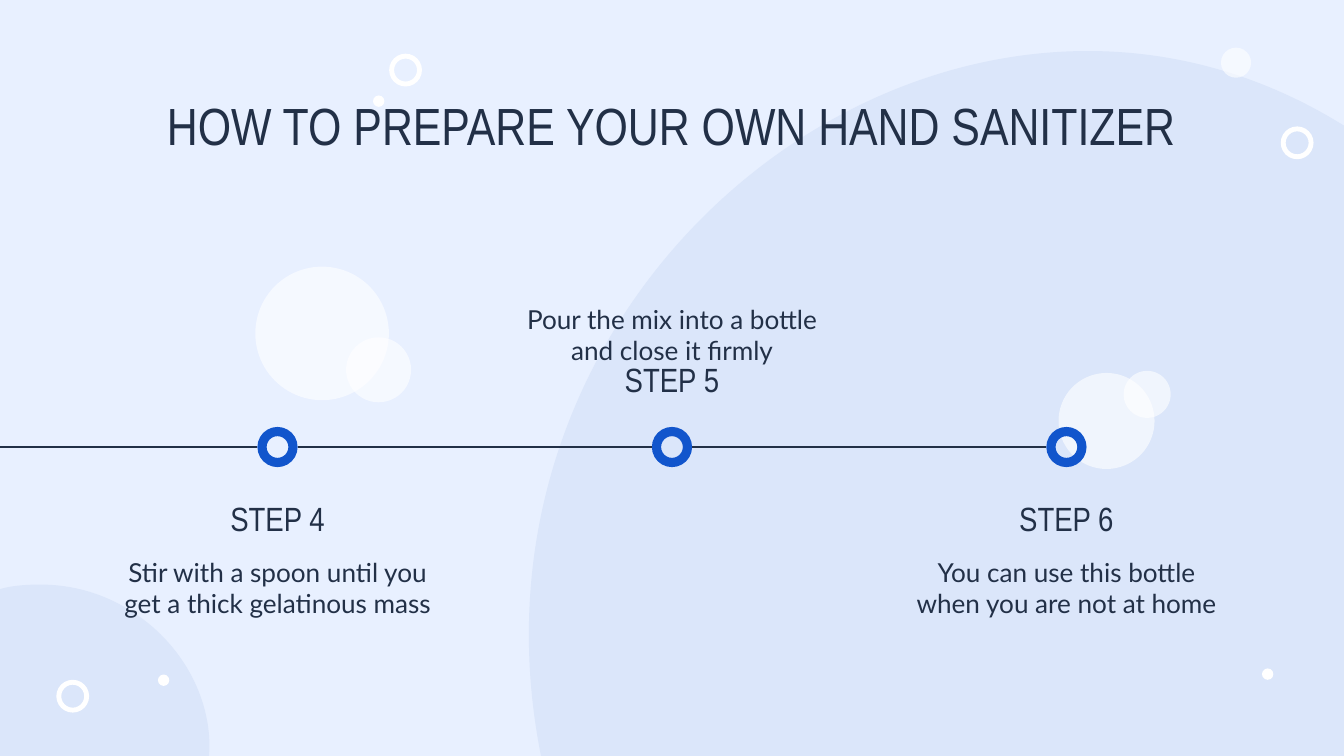
"""Build the hand sanitizer timeline slide."""
from dataclasses import dataclass

from lxml.etree import SubElement
from pptx import Presentation
from pptx.dml.color import RGBColor
from pptx.enum.shapes import MSO_CONNECTOR, MSO_SHAPE
from pptx.enum.text import MSO_ANCHOR, PP_ALIGN
from pptx.oxml.ns import qn
from pptx.shapes.autoshape import Shape
from pptx.slide import Slide
from pptx.util import Cm, Pt

Point = tuple[float, float]


@dataclass(frozen=True)
class Theme:
    """Colours, fonts and type sizes."""
    background: RGBColor = RGBColor(0xE8, 0xF0, 0xFF)
    hill: RGBColor = RGBColor(0xDB, 0xE6, 0xFA)
    bubble: RGBColor = RGBColor(0xFF, 0xFF, 0xFF)
    marker: RGBColor = RGBColor(0x11, 0x55, 0xCC)
    ink: RGBColor = RGBColor(0x22, 0x30, 0x47)
    heading_font: str = "Arial Narrow"
    body_font: str = "Lato"
    title_size: int = 56
    label_size: int = 36
    body_size: int = 28


@dataclass(frozen=True)
class Bubble:
    """A round decoration: left, top and diameter in centimetres."""
    left: float
    top: float
    diameter: float
    opacity: int = 100
    rim: float = 0


@dataclass(frozen=True)
class Area:
    """A text area in centimetres with its vertical anchor."""
    left: float
    top: float
    width: float
    height: float
    anchor: MSO_ANCHOR = MSO_ANCHOR.TOP


@dataclass(frozen=True)
class Step:
    """One step of the timeline."""
    label: str
    body: str
    above: bool = False


THEME = Theme()
WIDTH, HEIGHT = 50.8, 28.58
LEFT_HILL = [
    [(1.52, 22.1)],
    [(1.14, 22.1), (0.79, 22.12), (0.46, 22.17)],
    [(0.28, 22.2), (0.13, 22.23), (-0.03, 22.28)],
    [(-0.03, HEIGHT)],
    [(7.9, HEIGHT)],
    [(8.03, 27.03), (7.39, 25.12), (5.77, 23.7)],
    [(4.34, 22.48), (2.82, 22.1), (1.52, 22.1)],
]
RIGHT_HILL = [
    [(41.12, 1.93)],
    [(29.01, 1.93), (17.53, 13.94), (20.45, HEIGHT)],
    [(WIDTH, HEIGHT)],
    [(WIDTH, 4.75)],
    [(47.7, 2.82), (44.4, 1.93), (41.12, 1.93)],
]
DOT, RING, RING_RIM = 0.43, 1.24, 0.15
BUBBLES = [
    Bubble(46.15, 1.8, 1.14, 60),
    Bubble(9.65, 10.08, 5.05, 60),
    Bubble(13.08, 12.75, 2.46, 60),
    Bubble(40.01, 14.1, 3.63, 60),
    Bubble(42.47, 14.02, 1.78, 60),
    Bubble(5.97, 25.5, DOT),
    Bubble(47.7, 25.27, DOT),
    Bubble(2.13, 25.7, RING, rim=RING_RIM),
    Bubble(14.71, 2.03, RING, rim=RING_RIM),
    Bubble(14.1, 3.61, DOT),
    Bubble(48.41, 4.78, RING, rim=RING_RIM),
]
STEPS = [
    Step("STEP 4", "Stir with a spoon until you get a thick gelatinous mass"),
    Step("STEP 5", "Pour the mix into a bottle and close it firmly", above=True),
    Step("STEP 6", "You can use this bottle when you are not at home"),
]
FIRST_CENTRE, STEP_GAP = 10.49, 14.91
LINE_START, LINE_HEIGHT, MARKER, MARKER_RIM = -0.2, 16.9, 1.52, 0.23
STEP_WIDTH, INSET = 12.98, 0.51


def paint(shape: Shape, colour: RGBColor) -> None:
    """Give a shape a plain fill without line or shadow."""
    shape.shadow.inherit = False
    shape.fill.solid()
    shape.fill.fore_color.rgb = colour
    shape.line.fill.background()


def draw_hill(page: Slide, segments: list[list[Point]]) -> None:
    """Draw a closed outline, turning each three-point segment into a cubic curve."""
    corners = [(Cm(x), Cm(y)) for segment in segments for x, y in segment]
    builder = page.shapes.build_freeform(*corners[0])
    builder.add_line_segments(corners[1:])
    shape = builder.convert_to_shape()
    paint(shape, THEME.hill)
    lines = iter(list(shape.element.iter(qn("a:lnTo"))))
    for segment in segments[1:]:
        parts = [next(lines) for _ in segment]
        if len(parts) == 3:
            outline = parts[0].getparent()
            cubic = SubElement(outline, qn("a:cubicBezTo"))
            parts[0].addprevious(cubic)
            for part in parts:
                cubic.append(part[0])
                outline.remove(part)


def draw_bubble(page: Slide, bubble: Bubble, colour: RGBColor) -> None:
    """Draw a disc, or a ring when the bubble has a rim."""
    kind = MSO_SHAPE.DONUT if bubble.rim else MSO_SHAPE.OVAL
    size = Cm(bubble.diameter)
    shape = page.shapes.add_shape(kind, Cm(bubble.left), Cm(bubble.top), size, size)
    paint(shape, colour)
    if bubble.rim:
        shape.adjustments[0] = bubble.rim
    if bubble.opacity < 100:
        fill = shape.element.spPr.find(qn("a:solidFill"))
        SubElement(fill[0], qn("a:alpha"), val=str(bubble.opacity * 1000))


def draw_text(page: Slide, area: Area, text: str, font: str, size: int, space_after: int = 0) -> None:
    """Add one centred paragraph in a text box."""
    box = page.shapes.add_textbox(Cm(area.left), Cm(area.top), Cm(area.width), Cm(area.height))
    frame = box.text_frame
    frame.word_wrap = True
    frame.vertical_anchor = area.anchor
    frame.margin_left = frame.margin_right = frame.margin_top = frame.margin_bottom = Cm(INSET)
    para = frame.paragraphs[0]
    para.alignment = PP_ALIGN.CENTER
    para.space_after = Pt(space_after)
    span = para.add_run()
    span.text = text
    span.font.name = font
    span.font.size = Pt(size)
    span.font.color.rgb = THEME.ink


def draw_line(page: Slide, start: float, end: float) -> None:
    """Draw a horizontal stretch of the timeline."""
    height = Cm(LINE_HEIGHT)
    line = page.shapes.add_connector(MSO_CONNECTOR.STRAIGHT, Cm(start), height, Cm(end), height)
    line.line.color.rgb = THEME.ink
    line.line.width = Pt(1.5)
    SubElement(line.element.spPr, qn("a:effectLst"))


def draw_step(page: Slide, step: Step, centre: float) -> None:
    """Draw the texts and the marker of a step."""
    left = centre - STEP_WIDTH / 2
    if step.above:
        body = Area(left, 9.68, STEP_WIDTH, 4.67, MSO_ANCHOR.BOTTOM)
        label = Area(left, 13.36, STEP_WIDTH, 2.24, MSO_ANCHOR.BOTTOM)
    else:
        body = Area(left, 20.52, STEP_WIDTH, 3.18)
        label = Area(left, 18.47, STEP_WIDTH, 2.24, MSO_ANCHOR.MIDDLE)
    draw_text(page, body, step.body, THEME.body_font, THEME.body_size, 32)
    draw_text(page, label, step.label, THEME.heading_font, THEME.label_size)
    radius = MARKER / 2
    marker = Bubble(centre - radius, LINE_HEIGHT - radius, MARKER, rim=MARKER_RIM)
    draw_bubble(page, marker, THEME.marker)


def main() -> None:
    """Build and save the deck."""
    deck = Presentation()
    deck.slide_width, deck.slide_height = Cm(WIDTH), Cm(HEIGHT)
    page = deck.slides.add_slide(deck.slide_layouts[6])
    page.background.fill.solid()
    page.background.fill.fore_color.rgb = THEME.background
    for hill in (LEFT_HILL, RIGHT_HILL):
        draw_hill(page, hill)
    for bubble in BUBBLES:
        draw_bubble(page, bubble, THEME.bubble)
    start = LINE_START
    for index, step in enumerate(STEPS):
        centre = FIRST_CENTRE + index * STEP_GAP
        draw_step(page, step, centre)
        draw_line(page, start, centre - MARKER / 2)
        start = centre + MARKER / 2
    title = "HOW TO PREPARE YOUR OWN HAND SANITIZER"
    draw_text(page, Area(3.99, 3, 42.8, 2.64), title, THEME.heading_font, THEME.title_size)
    deck.save("out.pptx")


if __name__ == "__main__":
    main()
